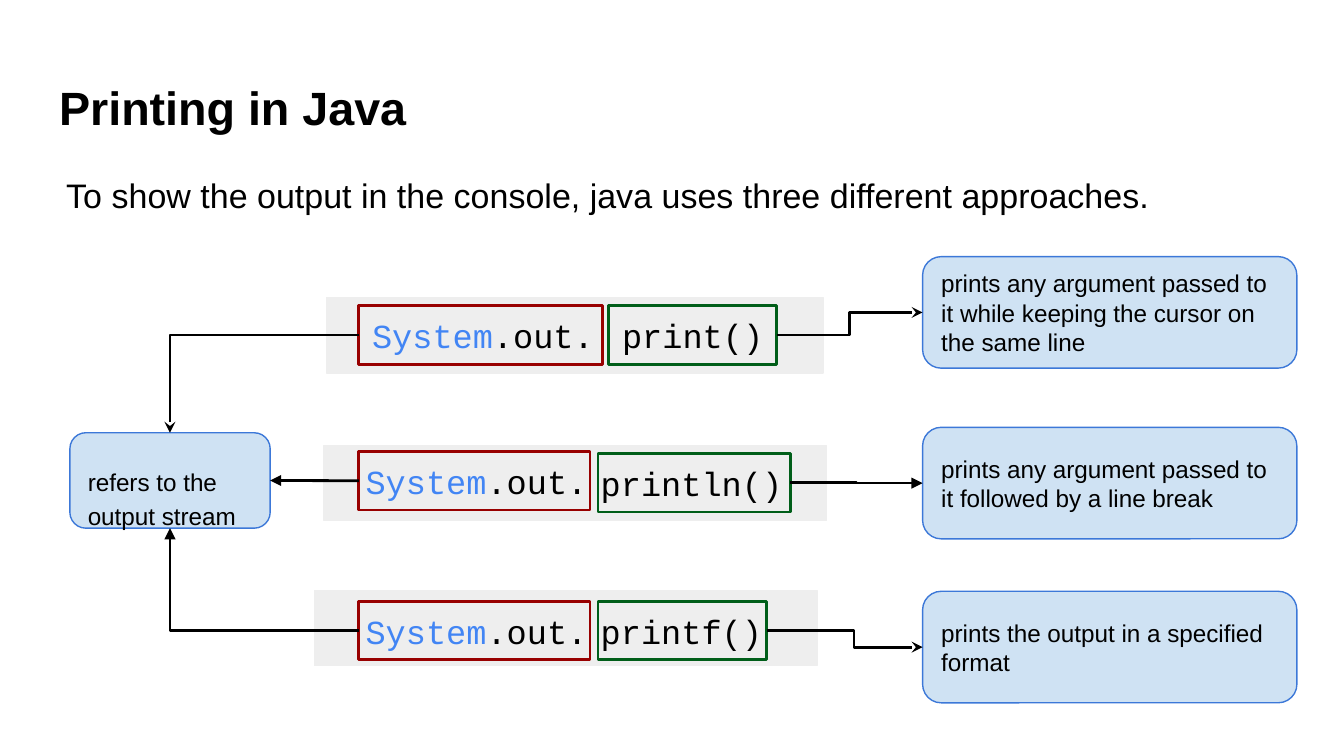
from lxml.etree import SubElement
from pptx import Presentation
from pptx.dml.color import RGBColor
from pptx.enum.shapes import MSO_CONNECTOR, MSO_SHAPE
from pptx.enum.text import MSO_ANCHOR, PP_ALIGN
from pptx.oxml.ns import qn
from pptx.util import Pt

PX = 4572
TOP, LEFT, BOTTOM, RIGHT = range(4)
BLACK, GREY, RED, GREEN = "000000", "EEEEEE", "980000", "005E19"
PALE_BLUE, BLUE, KEYWORD = "CFE2F3", "3C78D8", "4285F4"
CODE_FONT, TEXT_FONT = "Courier New", "Arial"

HEADING = "Printing in Java"
INTRO = "To show the output in the console, java uses three different approaches."
STREAM = "refers to the output stream"
STREAM_AT = (104, 644, 298, 142)
OBJECT = [("System", KEYWORD), (".out.", BLACK)]
OBJECT_LEFT, CODE_HEIGHT, PANEL_HEIGHT = 534, 87, 112
MEANING_LEFT, MEANING_WIDTH, MEANING_HEIGHT = 1373, 557, 166

CALLS = [
    {"method": "print()", "meaning": "prints any argument passed to it while keeping the cursor on the same line",
     "panel": (486, 443, 739), "object": (455, 363), "method_at": (906, 455, 250),
     "insets": (20, 10, 20, 0), "meaning_top": 382,
     "to_stream": ("bentConnector2", TOP, "stealth"), "to_meaning": ("stealth", 0.5)},
    {"method": "println()", "meaning": "prints any argument passed to it followed by a line break",
     "panel": (482, 663, 748), "object": (672, 344), "method_at": (890, 675, 286),
     "insets": (10, 0, 4, 0), "meaning_top": 636,
     "to_stream": ("line", RIGHT, "triangle"), "to_meaning": ("triangle", 0.5)},
    {"method": "printf()", "meaning": "prints the output in a specified format",
     "panel": (468, 879, 748), "object": (895, 344), "method_at": (890, 895, 251),
     "insets": (10, 0, 4, 0), "meaning_top": 880,
     "to_stream": ("bentConnector2", BOTTOM, "triangle"), "to_meaning": ("stealth", 0.56)},
]


def color(hex_string):
    return RGBColor.from_string(hex_string)


def write(shape, runs, size, font=TEXT_FONT, bold=False, anchor=MSO_ANCHOR.MIDDLE,
          insets=(20, 20, 20, 20), **spacing):
    frame = shape.text_frame
    sides = ("margin_left", "margin_top", "margin_right", "margin_bottom")
    settings = dict(zip(sides, (inset * PX for inset in insets)))
    settings.update(word_wrap=True, vertical_anchor=anchor)
    for name, value in settings.items():
        setattr(frame, name, value)
    paragraph = frame.paragraphs[0]
    for name, value in {"alignment": PP_ALIGN.LEFT, **spacing}.items():
        setattr(paragraph, name, value)
    for text, ink in runs:
        run = paragraph.add_run()
        run.text = text
        for name, value in {"size": Pt(size), "name": font, "bold": bold}.items():
            setattr(run.font, name, value)
        run.font.color.rgb = color(ink)


def add_box(at, fill, line, weight=0.75, kind=MSO_SHAPE.RECTANGLE):
    box = slide.shapes.add_shape(kind, *(length * PX for length in at))
    box.shadow.inherit = False
    box.fill.solid()
    box.fill.fore_color.rgb = color(fill)
    box.line.color.rgb = color(line)
    box.line.width = Pt(weight)
    return box


def add_code(at, line, runs, left, right):
    box = add_box((*at, CODE_HEIGHT), GREY, line, 1.5)
    write(box, runs, 18, CODE_FONT, insets=(left, 20, right, 20))
    return box


def add_arrow(source, source_side, target, target_side, head, geometry, bend=None):
    kind = MSO_CONNECTOR.STRAIGHT if geometry == "line" else MSO_CONNECTOR.ELBOW
    arrow = slide.shapes.add_connector(kind, 0, 0, 0, 0)
    arrow.begin_connect(source, source_side)
    arrow.end_connect(target, target_side)
    arrow.line.color.rgb = color(BLACK)
    arrow.line.width = Pt(1.5)
    properties = arrow._element.spPr
    preset = properties.find(qn("a:prstGeom"))
    preset.set("prst", geometry)
    if bend is not None:
        SubElement(preset.find(qn("a:avLst")), qn("a:gd"),
                   name="adj1", fmla=f"val {round(bend * 100000)}")
    SubElement(properties.find(qn("a:ln")), qn("a:tailEnd"), type=head)
    SubElement(properties, qn("a:effectLst"))


presentation = Presentation()
presentation.slide_width = 2000 * PX
presentation.slide_height = 1125 * PX
slide = presentation.slides.add_slide(presentation.slide_layouts[5])

heading = slide.shapes.title
for name, value in {"left": 68, "top": 98, "width": 618, "height": 126}.items():
    setattr(heading, name, value * PX)
write(heading, [(HEADING, BLACK)], 25, bold=True, anchor=MSO_ANCHOR.TOP)

intro = slide.shapes.add_textbox(*(length * PX for length in (79, 231, 1760, 102)))
write(intro, [(INTRO, BLACK)], 18.2, anchor=MSO_ANCHOR.TOP,
      line_spacing=1.15, space_before=Pt(10), space_after=Pt(12))

stream = add_box(STREAM_AT, PALE_BLUE, BLUE, kind=MSO_SHAPE.ROUNDED_RECTANGLE)
write(stream, [(STREAM, BLACK)], 13, anchor=MSO_ANCHOR.TOP,
      insets=(20, 38, 20, 0), line_spacing=1.15)

for call in CALLS:
    add_box((*call["panel"], PANEL_HEIGHT), GREY, GREY)
    object_left, object_right, method_left, method_right = call["insets"]
    output = add_code((OBJECT_LEFT, *call["object"]), RED, OBJECT, object_left, object_right)
    method = add_code(call["method_at"], GREEN,
                      [(call["method"], BLACK)], method_left, method_right)
    meaning = add_box((MEANING_LEFT, call["meaning_top"], MEANING_WIDTH, MEANING_HEIGHT),
                      PALE_BLUE, BLUE, kind=MSO_SHAPE.ROUNDED_RECTANGLE)
    write(meaning, [(call["meaning"], BLACK)], 13)

    geometry, side, head = call["to_stream"]
    add_arrow(output, LEFT, stream, side, head, geometry)
    head, bend = call["to_meaning"]
    add_arrow(method, RIGHT, meaning, LEFT, head, "bentConnector3", bend)

presentation.save("out.pptx")
